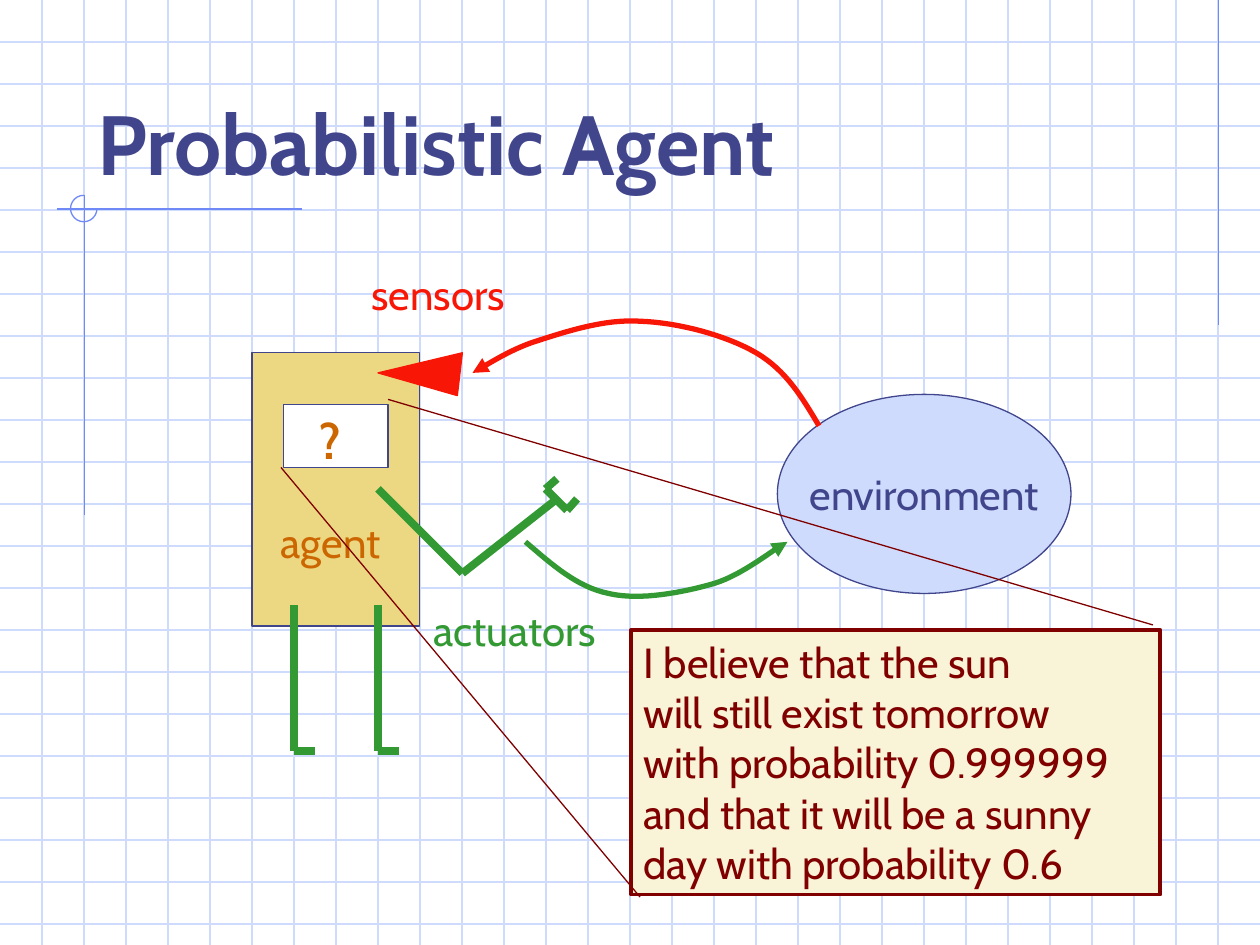
from lxml import etree
from pptx import Presentation
from pptx.dml.color import RGBColor as RGB
from pptx.enum.shapes import MSO_CONNECTOR, MSO_SHAPE
from pptx.enum.text import MSO_ANCHOR, MSO_AUTO_SIZE, PP_ALIGN
from pptx.oxml.ns import qn
from pptx.util import Inches, Pt

THEME = {
    "font": "Cabin",
    "grid": "CFDBFD", "rule": "6F89F7", "ink": "40458C", "pale": "CFDBFD",
    "sense": "F81706", "act": "339933", "body": "ECD882", "label": "CC6600",
    "white": "FFFFFF", "note": "F9F3D7", "belief": "800000",
    "title": 48, "text": 24, "mark": 28,
    "thin": 0.75, "frame": 2.25, "flow": 3, "limb": 4.5,
}

W, H = 10, 7.5
CELL = 1 / 3
TITLE = "Probabilistic Agent"
BELIEF = [
    ["I believe that the sun"],
    ["will still exist tomorrow", "with probability 0.999999"],
    ["and that it will be a sunny"],
    ["day with probability 0.6"],
]
LABELS = [
    ("agent", (2.13, 4.05, 1.1, 0.5), "label", "text", False),
    ("?", (2.44, 3.21, 0.38, 0.57), "label", "mark", True),
    ("sensors", (2.85, 2.08, 1.41, 0.5), "sense", "text", False),
    ("actuators", (3.34, 4.75, 1.68, 0.5), "act", "text", False),
]
RULES = [
    (9.67, 0, 9.67, 2.58),
    (2.4, 1.66, 0.45, 1.66),
    (0.67, 1.55, 0.67, 4.09),
]
ARM = [
    (3, 3.88, 3.67, 4.55),
    (3.67, 4.55, 4.42, 3.96),
    (4.33, 3.88, 4.5, 4.05),
    (4.33, 3.88, 4.42, 3.8),
    (4.5, 4.05, 4.58, 3.96),
]
LEGS = [2.33, 3]
HIP, SOLE, FOOT = 4.8, 5.96, 0.17
SIGHT_LINES = [(3.08, 3.17, 9.15, 4.96), (2.23, 3.71, 5.08, 7.12)]
EYE = [(3, 2.96), (3.67, 2.8), (3.63, 3.14)]
FLOWS = [
    ("sense", [(6.5, 3.38), (6.37, 3.16), (6.24, 2.94), (6, 2.8),
               (5.76, 2.66), (5.38, 2.56), (5.08, 2.55),
               (4.79, 2.53), (4.47, 2.64), (4.25, 2.71),
               (4.03, 2.78), (3.83, 2.92), (3.75, 2.96)]),
    ("act", [(4.17, 4.3), (4.38, 4.48), (4.58, 4.66), (4.83, 4.71),
             (5.08, 4.77), (5.43, 4.7), (5.67, 4.63),
             (5.9, 4.56), (6.15, 4.35), (6.25, 4.3)]),
]

prs = Presentation()
prs.slide_width, prs.slide_height = Inches(W), Inches(H)
slide = prs.slides.add_slide(prs.slide_layouts[5])
shapes = slide.shapes


def color(name):
    return RGB.from_string(THEME[name])


def style(sp, fill, line, weight="thin"):
    sp.shadow.inherit = False
    if fill:
        sp.fill.solid()
        sp.fill.fore_color.rgb = color(fill)
    else:
        sp.fill.background()
    sp.line.color.rgb = color(line)
    sp.line.width = Pt(THEME[weight])
    return sp


def add_line(ends, ink, weight="thin"):
    c = shapes.add_connector(MSO_CONNECTOR.STRAIGHT, *map(Inches, ends))
    c.line.color.rgb = color(ink)
    c.line.width = Pt(THEME[weight])
    etree.SubElement(c._element.spPr, qn("a:effectLst"))


def add_box(kind, box, fill, line, weight="thin"):
    return style(shapes.add_shape(kind, *map(Inches, box)), fill, line, weight)


def add_outline(points, closed, fill, line, weight="thin"):
    pts = [(Inches(x), Inches(y)) for x, y in points]
    fb = shapes.build_freeform(*pts[0])
    fb.add_line_segments(pts[1:], close=closed)
    return style(fb.convert_to_shape(), fill, line, weight)


def add_arrow(points, ink):
    sp = add_outline(points, False, None, ink, "flow")
    etree.SubElement(sp.line._get_or_add_ln(), qn("a:tailEnd"), type="triangle")


def trace(nodes, steps=16):
    points = [nodes[0]]
    for i in range(0, len(nodes) - 1, 3):
        for t in (n / steps for n in range(1, steps + 1)):
            u = 1 - t
            weights = u ** 3, 3 * u * u * t, 3 * u * t * t, t ** 3
            points.append(tuple(
                sum(w * node[axis] for w, node in zip(weights, nodes[i:i + 4]))
                for axis in (0, 1)))
    return points


def write(sp, paragraphs, ink, size="text", bold=False, align=PP_ALIGN.LEFT,
          anchor=MSO_ANCHOR.TOP, wrap=True):
    tf = sp.text_frame
    tf.word_wrap = wrap
    tf.auto_size = MSO_AUTO_SIZE.NONE
    tf.vertical_anchor = anchor
    for i, lines in enumerate(paragraphs):
        p = tf.add_paragraph() if i else tf.paragraphs[0]
        p.alignment = align
        for j, line in enumerate(lines):
            if j:
                p.add_line_break()
            r = p.add_run()
            r.text = line
            r.font.name = THEME["font"]
            r.font.size = Pt(THEME[size])
            r.font.bold = bold
            r.font.color.rgb = color(ink)


for n in range(1, int(H / CELL) + 1):
    add_line((0, n * CELL, W, n * CELL), "grid")
for n in range(1, round(W / CELL)):
    add_line((n * CELL, 0, n * CELL, H), "grid")
for ends in RULES:
    add_line(ends, "rule")
arc = add_box(MSO_SHAPE.ARC, (0.56, 1.55, 0.21, 0.21), None, "rule")
arc.adjustments[0], arc.adjustments[1] = 0, 162

title = shapes.title
title.left, title.top, title.width, title.height = map(Inches, (0.67, 0.33, 8.5, 1.25))
write(title, [[TITLE]], "ink", "title", True, anchor=MSO_ANCHOR.BOTTOM)
shapes._spTree.append(title._element)

environment = add_box(MSO_SHAPE.OVAL, (6.17, 3.13, 2.33, 1.58), "pale", "ink")
write(environment, [["environment"]], "ink", align=PP_ALIGN.CENTER,
      anchor=MSO_ANCHOR.MIDDLE, wrap=False)
for ink, nodes in FLOWS:
    add_arrow(trace(nodes), ink)

add_box(MSO_SHAPE.RECTANGLE, (2, 2.8, 1.33, 2.17), "body", "ink")
add_box(MSO_SHAPE.RECTANGLE, (2.25, 3.21, 0.83, 0.5), "white", "ink")
for ends in ARM:
    add_line(ends, "act", "limb")
for x in LEGS:
    add_line((x, SOLE, x, HIP), "act", "limb")
    add_line((x, SOLE, x + FOOT, SOLE), "act", "limb")
add_outline(EYE, True, "sense", "sense")
for text, box, ink, size, bold in LABELS:
    write(shapes.add_textbox(*map(Inches, box)), [[text]], ink, size, bold)

belief = add_box(MSO_SHAPE.RECTANGLE, (5.01, 5, 4.2, 2.1), "note", "belief", "frame")
write(belief, BELIEF, "belief")
for ends in SIGHT_LINES:
    add_line(ends, "belief")

prs.save("out.pptx")
